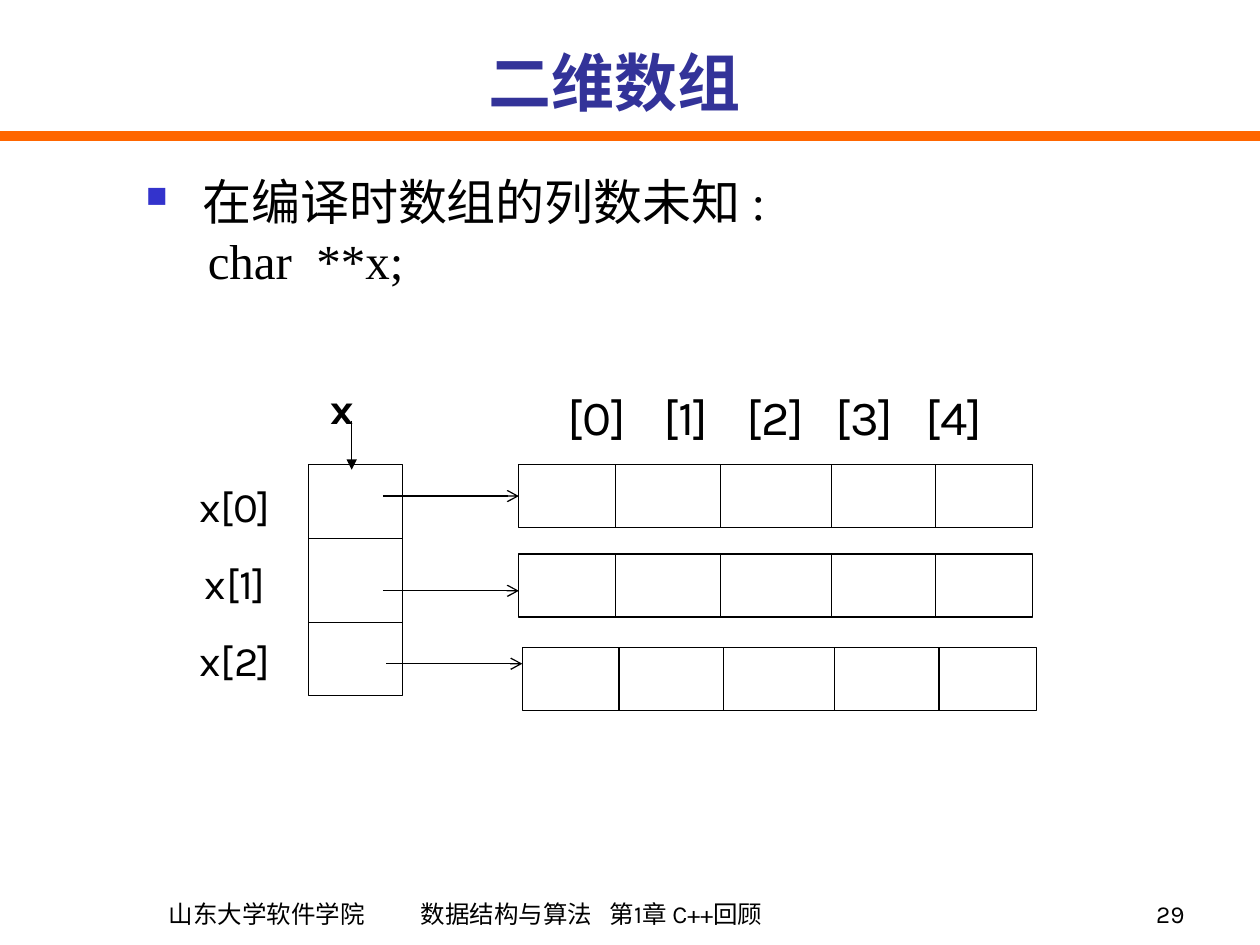
from lxml.etree import SubElement
from pptx import Presentation
from pptx.dml.color import RGBColor
from pptx.enum.shapes import MSO_CONNECTOR as Connector, MSO_SHAPE as Shape
from pptx.enum.text import MSO_ANCHOR as Anchor, PP_ALIGN as Align
from pptx.oxml.ns import qn
from pptx.util import Cm, Pt

BLACK, NAVY, BLUE, ORANGE = "000000", "333399", "3333CC", "FF6600"
SANS, SERIF = "Karla", "Times New Roman"


def color(hex_string):
    return RGBColor.from_string(hex_string)


def add_line(slide, x1, y1, x2, y2, hex_string=BLACK, width=0.75, arrow=None):
    line = slide.shapes.add_connector(
        Connector.STRAIGHT, Cm(x1), Cm(y1), Cm(x2), Cm(y2))
    line.line.color.rgb = color(hex_string)
    line.line.width = Pt(width)
    if arrow:
        SubElement(line.line._get_or_add_ln(), qn("a:tailEnd"), type=arrow)
    SubElement(line._element.spPr, qn("a:effectLst"))


def add_frame(slide, x, y, width, height):
    frame = slide.shapes.add_shape(
        Shape.RECTANGLE, Cm(x), Cm(y), Cm(width), Cm(height))
    frame.shadow.inherit = False
    frame.fill.background()
    frame.line.color.rgb = color(BLACK)
    frame.line.width = Pt(0.75)


def add_text(slide, box, lines, size, font=SANS, hex_string=BLACK, bold=False,
             align=Align.CENTER, anchor=Anchor.TOP, gap=0):
    """Add a text box with one paragraph per line and return its paragraphs."""
    text_frame = slide.shapes.add_textbox(*map(Cm, box)).text_frame
    text_frame.word_wrap = True
    text_frame.vertical_anchor = anchor
    text_frame.text = "\n".join(lines)
    for index, paragraph in enumerate(text_frame.paragraphs):
        paragraph.alignment = align
        if index and gap:
            paragraph.space_before = Pt(gap)
        for run in paragraph.runs:
            run.font.size = Pt(size)
            run.font.name = font
            run.font.bold = bold
            run.font.color.rgb = color(hex_string)
    return text_frame.paragraphs


def indent(paragraph, left, first=0):
    properties = paragraph._p.get_or_add_pPr()
    properties.set("marL", str(Cm(left)))
    properties.set("indent", str(Cm(first)))
    return properties


def add_tabs(paragraph, stops, kind):
    tabs = SubElement(paragraph._p.get_or_add_pPr(), qn("a:tabLst"))
    for stop in stops:
        SubElement(tabs, qn("a:tab"), pos=str(Cm(stop)), algn=kind)


def add_header(slide, x, y, width, height):
    add_line(slide, x, y + height, x + width, y + height, ORANGE, 6)
    add_text(slide, (x + 0.43, y + 0.63, width - 1.47, 1.9), ["二维数组"], 36,
             hex_string=NAVY, bold=True, anchor=Anchor.BOTTOM)


def add_footer(slide, x, y, width, height):
    # Course line, spread over tab stops
    course, = add_text(
        slide, (x, y, 17.4, height),
        ["山东大学软件学院\t数据结构与算法\t第1章 C++回顾"], 14,
        align=Align.LEFT, anchor=Anchor.BOTTOM)
    indent(course, 1.85)
    add_tabs(course, (6.8, 11.38), "l")
    # Page number
    add_text(slide, (x + width - 5.28, y, 5.28, height), ["29"], 14,
             align=Align.RIGHT, anchor=Anchor.BOTTOM)


def add_statement(slide, *box):
    question, declaration = add_text(
        slide, box, ["在编译时数组的列数未知 :", "char  **x;"], 28, SERIF,
        align=Align.LEFT)
    bullet = indent(question, 1.14, -1.14)
    bullet_color = SubElement(bullet, qn("a:buClr"))
    SubElement(bullet_color, qn("a:srgbClr"), val=BLUE)
    SubElement(bullet, qn("a:buSzPct"), val="60000")
    SubElement(bullet, qn("a:buChar"), char="■")
    indent(declaration, 1.25)


def add_pointer_array(slide, x, y, width, height):
    add_frame(slide, x, y, width, height)
    for divider in (1.48, 3.18):
        add_line(slide, x, y + divider, x + width, y + divider)
    # Row names beside the cells
    add_text(slide, (x - 2.54, y + 0.2, 2.11, 4.37),
             [f"x[{row}]" for row in range(3)], 24, gap=15)
    # Variable x pointing at the first cell
    add_line(slide, x + 0.87, y - 0.89, x + 0.87, y + 0.1, arrow="triangle")
    add_text(slide, (x + 0.08, y - 1.78, 1.19, 1.27), ["x"], 24, bold=True,
             anchor=Anchor.BOTTOM)


def add_row_array(slide, x, y, width, height, arrow_drop):
    add_frame(slide, x, y, width, height)
    for divider in (1.95, 4.06, 6.3, 8.4):
        add_line(slide, x + divider, y, x + divider, y + height)
    add_line(slide, x - 2.74, y + arrow_drop, x, y + arrow_drop, arrow="arrow")


def add_column_names(slide, *box):
    names = "".join(f"\t[{column}]" for column in range(5))
    heading, = add_text(slide, box, [names], 28, align=Align.LEFT)
    add_tabs(heading, [1.32 + 1.8 * column for column in range(5)], "ctr")


def main():
    deck = Presentation()
    deck.slide_width, deck.slide_height = Cm(25.4), Cm(19.05)
    slide = deck.slides.add_slide(deck.slide_layouts[6])

    add_header(slide, 0, 0, 25.4, 2.74)
    add_footer(slide, 1.3, 17.58, 22.83, 1.27)
    add_statement(slide, 2.69, 3.33, 18.85, 2.64)

    # Memory layout of the two-dimensional array
    add_pointer_array(slide, 6.22, 9.37, 1.9, 4.65)
    add_column_names(slide, 10.46, 7.67, 10.36, 1.45)
    for x, y, arrow_drop in ((10.46, 9.37, 0.63), (10.46, 11.17, 0.74),
                             (10.53, 13.05, 0.33)):
        add_row_array(slide, x, y, 10.36, 1.27, arrow_drop)

    deck.save("out.pptx")


if __name__ == "__main__":
    main()
